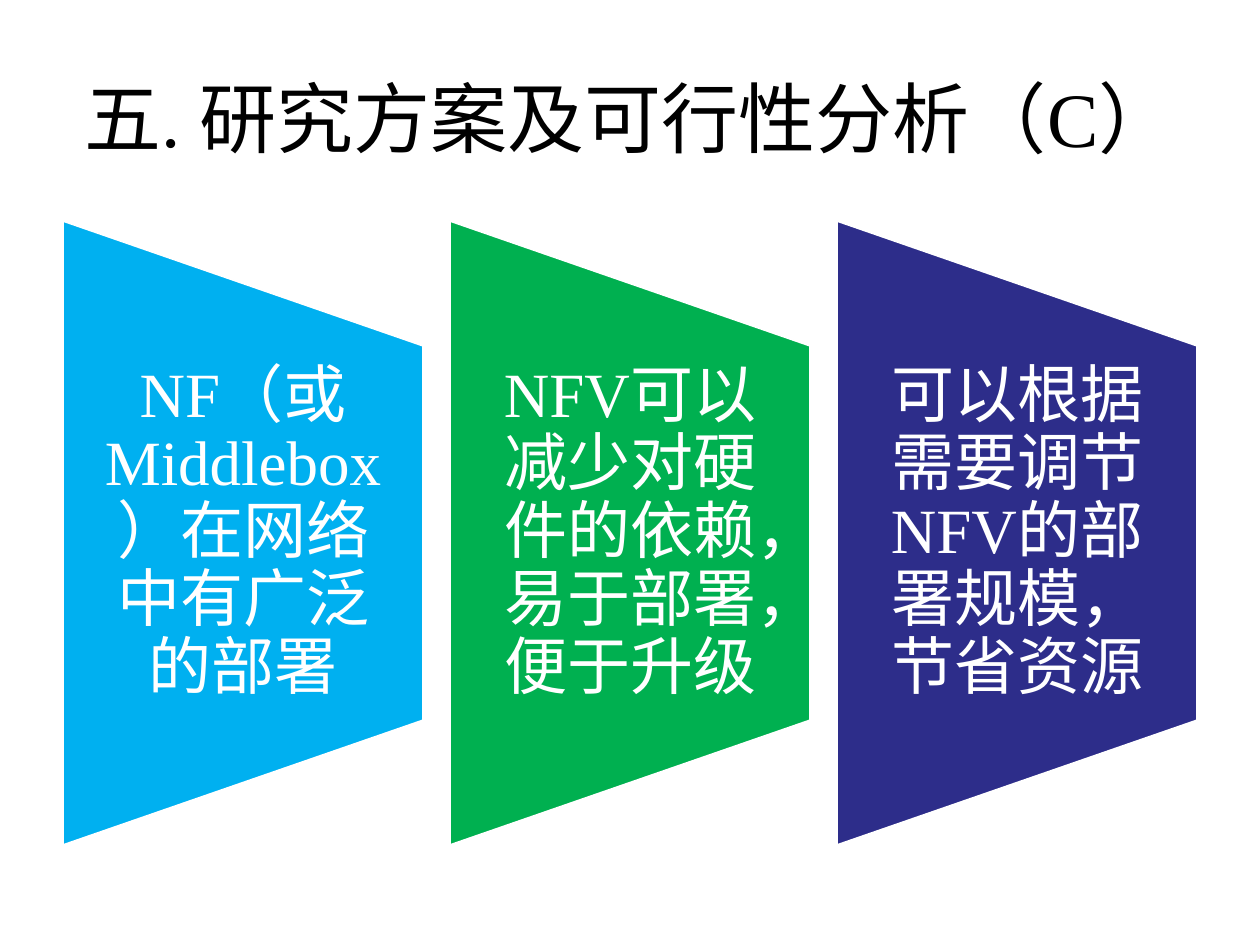
from pptx import Presentation
from pptx.dml.color import RGBColor
from pptx.enum.shapes import MSO_SHAPE as Shape
from pptx.enum.text import MSO_ANCHOR as Anchor, PP_ALIGN as Align
from pptx.util import Emu, Pt

TITLE = "五. 研究方案及可行性分析（C）"
PANELS = [
    ("NF（或Middlebox）在网络中有广泛的部署", "sky"),
    ("NFV可以减少对硬件的依赖，易于部署，便于升级", "green"),
    ("可以根据需要调节NFV的部署规模，节省资源", "navy"),
]
COLORS = {"black": "000000", "white": "FFFFFF", "sky": "00B0F0",
          "green": "00B050", "navy": "2D2D8A"}
FONT = "Times New Roman"

SLIDE_WIDTH, SLIDE_HEIGHT = 1260, 945
TITLE_BOX = (63, 38, 1134, 157)
PANEL_LEFT, PANEL_WIDTH, PANEL_HEIGHT, PANEL_GAP = 63, 360, 624, 27
PANEL_MIDDLE = 533
TEXT_HEIGHT = 374
TEXT_INSET = 32


def px(value):
    return Emu(round(value * 914400 / 126))


def box(*lengths):
    return [px(length) for length in lengths]


def color(name):
    return RGBColor.from_string(COLORS[name])


def write(shape, text, *, size, ink, inset=None, spacing=None):
    frame = shape.text_frame
    frame.word_wrap = True
    frame.vertical_anchor = Anchor.MIDDLE
    if inset is not None:
        frame.margin_left = frame.margin_right = px(inset)
        frame.margin_top = frame.margin_bottom = 0
    paragraph = frame.paragraphs[0]
    paragraph.alignment = Align.CENTER
    if spacing:
        paragraph.line_spacing = spacing
    run = paragraph.add_run()
    run.text = text
    run.font.name = FONT
    run.font.size = Pt(size)
    run.font.color.rgb = color(ink)


def add_panel(slide, left, text, fill):
    center = left + PANEL_WIDTH / 2
    shape = slide.shapes.add_shape(
        Shape.FLOWCHART_MANUAL_OPERATION,
        *box(center - PANEL_HEIGHT / 2, PANEL_MIDDLE - PANEL_WIDTH / 2,
             PANEL_HEIGHT, PANEL_WIDTH))
    shape.rotation = 270
    shape.shadow.inherit = False
    shape.fill.solid()
    shape.fill.fore_color.rgb = color(fill)
    shape.line.color.rgb = color("white")
    shape.line.width = Pt(1)
    label = slide.shapes.add_textbox(
        *box(left, PANEL_MIDDLE - TEXT_HEIGHT / 2, PANEL_WIDTH, TEXT_HEIGHT))
    write(label, text, size=36, ink="white", inset=TEXT_INSET, spacing=0.9)


def main():
    presentation = Presentation()
    presentation.slide_width, presentation.slide_height = box(SLIDE_WIDTH, SLIDE_HEIGHT)
    slide = presentation.slides.add_slide(presentation.slide_layouts[5])
    title = slide.shapes.title
    title.left, title.top, title.width, title.height = box(*TITLE_BOX)
    write(title, TITLE, size=44, ink="black")
    for index, (text, fill) in enumerate(PANELS):
        add_panel(slide, PANEL_LEFT + index * (PANEL_WIDTH + PANEL_GAP), text, fill)
    presentation.save("out.pptx")


if __name__ == "__main__":
    main()
